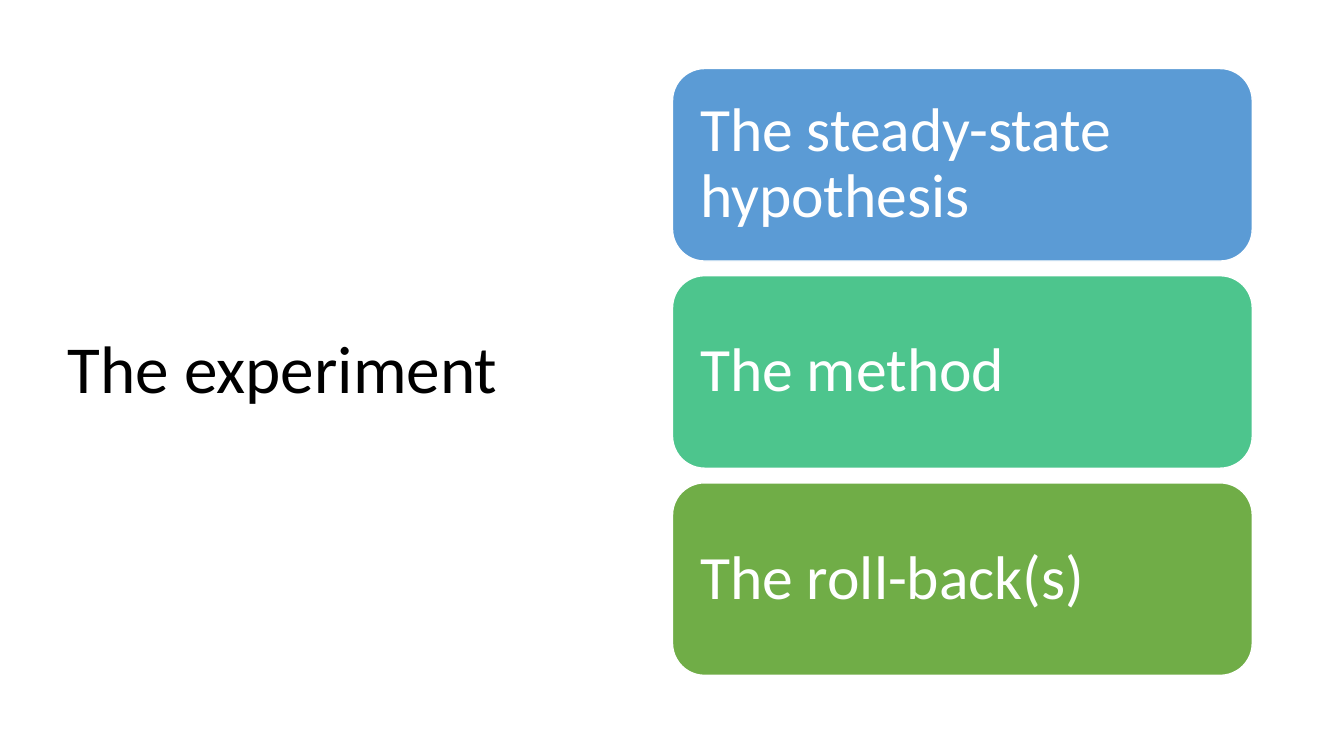
from dataclasses import dataclass

from pptx import Presentation
from pptx.dml.color import RGBColor
from pptx.enum.shapes import MSO_SHAPE
from pptx.enum.text import MSO_ANCHOR, MSO_AUTO_SIZE, PP_ALIGN
from pptx.util import Inches, Pt

ROUNDED = MSO_SHAPE.ROUNDED_RECTANGLE
MIDDLE = MSO_ANCHOR.MIDDLE
NO_AUTOFIT = MSO_AUTO_SIZE.NONE
LEFT = PP_ALIGN.LEFT
TITLE_ONLY = 5


@dataclass(frozen=True)
class Theme:
    font: str = "Calibri"
    title_size: int = 48
    card_size: int = 44
    black: str = "000000"
    white: str = "FFFFFF"
    blue: str = "5B9BD5"
    mint: str = "4DC58D"
    green: str = "70AD47"


THEME = Theme()

CARDS = [
    ("The steady-state hypothesis", THEME.blue),
    ("The method", THEME.mint),
    ("The roll-back(s)", THEME.green),
]


def apply_format(target, values):
    for name, value in values.items():
        setattr(target, name, value)


def write_text(shape, text, size, color, inset_x, inset_y):
    frame = shape.text_frame
    frame.text = text
    apply_format(frame, {
        "word_wrap": True,
        "auto_size": NO_AUTOFIT,
        "vertical_anchor": MIDDLE,
        "margin_left": Inches(inset_x),
        "margin_right": Inches(inset_x),
        "margin_top": Inches(inset_y),
        "margin_bottom": Inches(inset_y),
    })
    paragraph = frame.paragraphs[0]
    apply_format(paragraph, {"alignment": LEFT, "line_spacing": 0.9})
    apply_format(paragraph.font, {"name": THEME.font, "size": Pt(size), "bold": False})
    paragraph.font.color.rgb = RGBColor.from_string(color)


def place_title(slide, text, left, top, width, height):
    title = slide.shapes.title
    apply_format(title, {
        "left": Inches(left),
        "top": Inches(top),
        "width": Inches(width),
        "height": Inches(height),
    })
    write_text(title, text, THEME.title_size, THEME.black, 0.1, 0.05)


def place_cards(slide, cards, left, top, width, height, card_height):
    pitch = (height - card_height) / (len(cards) - 1)
    for index, (text, color) in enumerate(cards):
        card = slide.shapes.add_shape(
            ROUNDED, Inches(left), Inches(top + index * pitch),
            Inches(width), Inches(card_height))
        card.shadow.inherit = False
        card.fill.solid()
        card.fill.fore_color.rgb = RGBColor.from_string(color)
        card.line.color.rgb = RGBColor.from_string(THEME.white)
        card.line.width = Pt(1)
        write_text(card, text, THEME.card_size, THEME.white, 0.18, 0.18)


def main():
    presentation = Presentation()
    presentation.slide_width = Inches(13.33)
    presentation.slide_height = Inches(7.5)
    slide = presentation.slides.add_slide(presentation.slide_layouts[TITLE_ONLY])
    place_title(slide, "The experiment", 0.57, 0.68, 5.67, 6.02)
    place_cards(slide, CARDS, 6.67, 0.68, 5.75, 6.02, 1.91)
    presentation.save("out.pptx")


if __name__ == "__main__":
    main()
